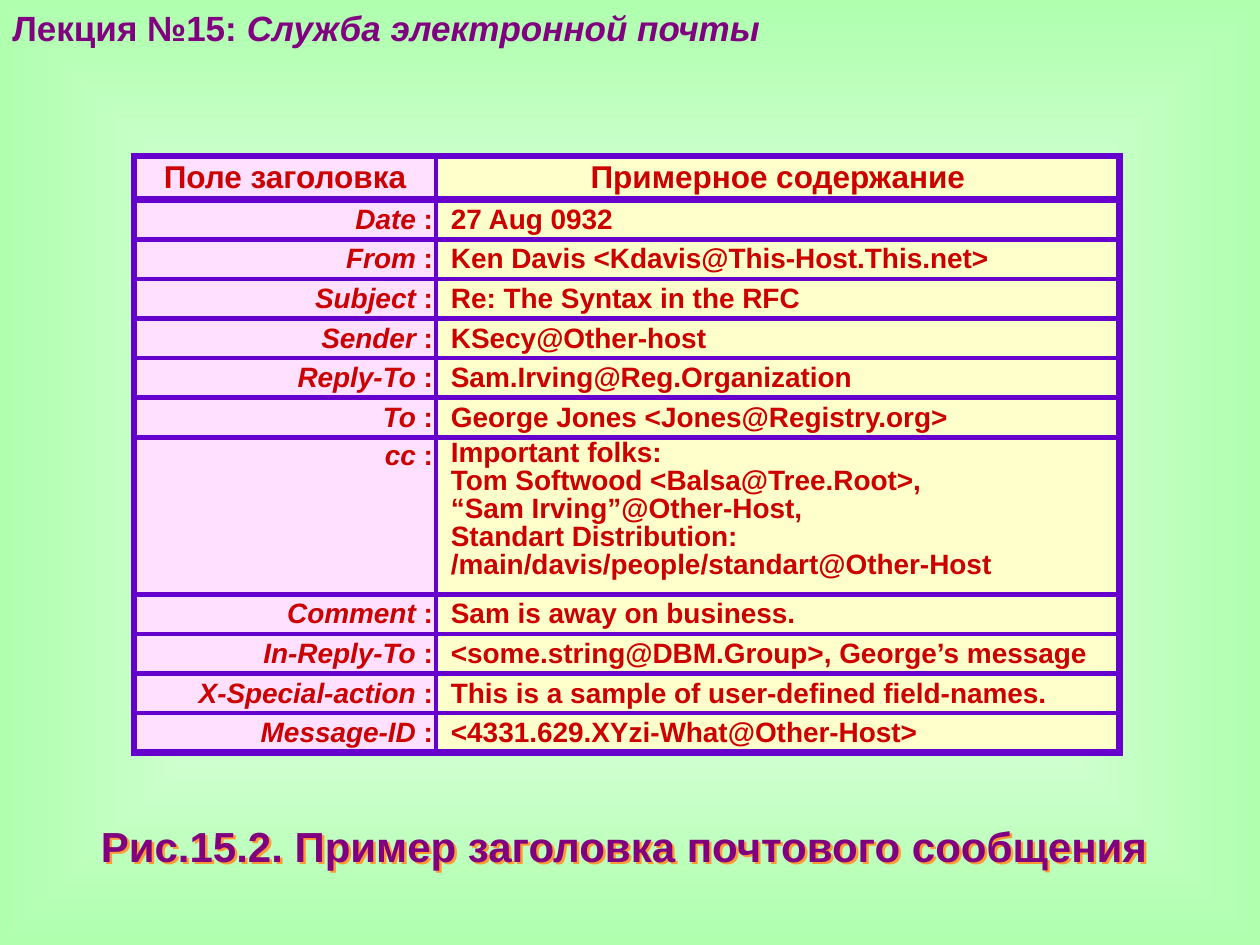
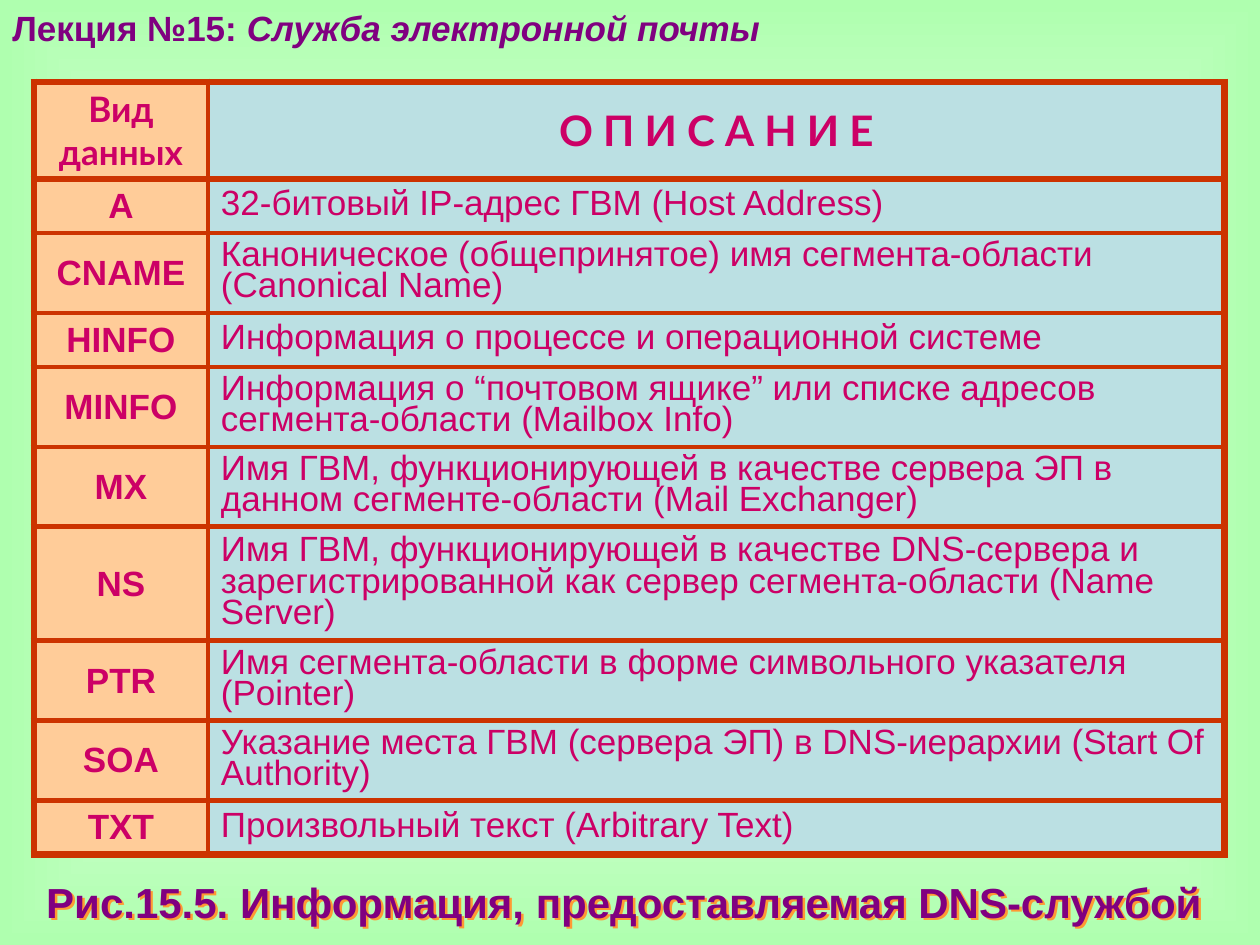
from itertools import pairwise

from pptx import Presentation
from pptx.dml.color import RGBColor
from pptx.enum.text import MSO_ANCHOR as Anchor, PP_ALIGN as Align
from pptx.oxml import parse_xml
from pptx.util import Pt

SCALE = 914400 / 126
SPACE = 'xmlns:a="http://schemas.openxmlformats.org/drawingml/2006/main"'
BACKGROUND = f'''<p:bg xmlns:p="http://schemas.openxmlformats.org/presentationml/2006/main" {SPACE}>
<p:bgPr><a:gradFill rotWithShape="0"><a:gsLst>
<a:gs pos="0"><a:srgbClr val="FFFFFF"/></a:gs><a:gs pos="100000"><a:srgbClr val="AFFFAF"/></a:gs>
</a:gsLst><a:path path="shape"><a:fillToRect l="50000" t="50000" r="50000" b="50000"/></a:path>
</a:gradFill><a:effectLst/></p:bgPr></p:bg>'''
SHADOW = f'''<a:effectLst {SPACE}><a:outerShdw dist="25400" dir="2700000" algn="ctr" rotWithShape="0">
<a:srgbClr val="FF9933"/></a:outerShdw></a:effectLst>'''
PURPLE = "800080"


def px(length):
    return round(length * SCALE)


def write(frame, lines, size, color, font="Arial", bold=True, align=Align.LEFT, spacing=None):
    frame.word_wrap = True
    for number, spans in enumerate(lines):
        para = frame.add_paragraph() if number else frame.paragraphs[0]
        para.alignment = align
        para.line_spacing = spacing
        para.font.size = Pt(size)
        para.font.name = font
        para.font.bold = bold
        para.font.color.rgb = RGBColor.from_string(color)
        for text, italic in spans:
            span = para.add_run()
            span.text = text
            span.font.italic = italic


mail_fields = [
    ("Date", "27 Aug 0932"),
    ("From", "Ken Davis <Kdavis@This-Host.This.net>"),
    ("Subject", "Re: The Syntax in the RFC"),
    ("Sender", "KSecy@Other-host"),
    ("Reply-To", "Sam.Irving@Reg.Organization"),
    ("То", "George Jones <Jones@Registry.org>"),
    ("cc", "Important folks:\nTom Softwood <Balsa@Tree.Root>,\n“Sam Irving”@Other-Host,\n"
           "Standart Distribution:\n/main/davis/people/standart@Other-Host"),
    ("Comment", "Sam is away on business."),
    ("In-Reply-To", "<some.string@DBM.Group>, George’s message"),
    ("X-Special-action", "This is a sample of user-defined field-names."),
    ("Message-ID", "<4331.629.XYzi-What@Other-Host>"),
]
dns_records = [
    ("A", "32-битовый IP-адрес ГВМ (Host Address)"),
    ("CNAME", "Каноническое (общепринятое) имя сегмента-области (Canonical Name)"),
    ("HINFO", "Информация о процессе и операционной системе"),
    ("MINFO", "Информация о “почтовом ящике” или списке адресов сегмента-области (Mailbox Info)"),
    ("MX", "Имя ГВМ, функционирующей в качестве сервера ЭП в данном сегменте-области (Mail Exchanger)"),
    ("NS", "Имя ГВМ, функционирующей в качестве DNS-сервера и зарегистрированной как сервер "
           "сегмента-области (Name Server)"),
    ("PTR", "Имя сегмента-области в форме символьного указателя (Pointer)"),
    ("SOA", "Указание места ГВМ (сервера ЭП) в DNS-иерархии (Start Of Authority)"),
    ("TXT", "Произвольный текст (Arbitrary Text)"),
]
pages = [
    dict(
        caption="Рис.15.2. Пример заголовка почтового сообщения ", caption_top=820,
        heads=("Поле заголовка", "Примерное содержание"), rows=mail_fields,
        column_edges=(134, 436, 1120),
        row_edges=(156, 199, 238, 276, 315, 353, 392, 430, 586, 625, 663, 702, 741),
        border="6600CC", fills=("FFE1FF", "FFFFCC"), ink="CC0000",
        head_font="Arial", head_sizes=(18, 18), size=16,
        label_align=Align.RIGHT, label_end=" :", value_bold=True, value_spacing=None,
        margins=(3, 3), value_left=15,
    ),
    dict(
        caption="Рис.15.5. Информация, предоставляемая DNS-службой ", caption_top=876,
        heads=("Вид данных", "О П И С А Н И Е"), rows=dns_records,
        column_edges=(34, 208, 1225),
        row_edges=(82, 179, 233, 313, 367, 447, 527, 641, 721, 801, 855),
        border="CC3300", fills=("FFCC99", "BBE0E3"), ink="CC0066",
        head_font="Lato", head_sizes=(20, 24), size=20,
        label_align=Align.CENTER, label_end="", value_bold=False, value_spacing=0.8,
        margins=(13, 6), value_left=13,
    ),
]

deck = Presentation()
deck.slide_width, deck.slide_height = px(1260), px(945)

for plan in pages:
    page = deck.slides.add_slide(deck.slide_layouts[6])
    page.element.cSld.insert(0, parse_xml(BACKGROUND))

    title = page.shapes.add_textbox(0, 0, px(1260), px(54))
    write(title.text_frame, [[("Лекция №15: ", False), ("Служба электронной почты", True)]], 20, PURPLE)

    columns, rows = plan["column_edges"], plan["row_edges"]
    last = len(rows) - 2
    table = page.shapes.add_table(
        last + 1, 2, px(columns[0]), px(rows[0]),
        px(columns[-1] - columns[0]), px(rows[-1] - rows[0])).table
    table.first_row = table.horz_banding = False
    for column, (start, end) in zip(table.columns, pairwise(columns)):
        column.width = px(end - start)
    for row, (start, end) in zip(table.rows, pairwise(rows)):
        row.height = px(end - start)

    for r, texts in enumerate([plan["heads"], *plan["rows"]]):
        for c, text in enumerate(texts):
            cell = table.cell(r, c)
            thick = {"L": c == 0, "R": c == 1, "T": r < 2, "B": r in (0, last)}
            for side, heavy in thick.items():
                cell._tc.get_or_add_tcPr().append(parse_xml(
                    f'<a:ln{side} {SPACE} w="{Pt(4.5 if heavy else 3)}"><a:solidFill>'
                    f'<a:srgbClr val="{plan["border"]}"/></a:solidFill></a:ln{side}>'))
            cell.fill.solid()
            cell.fill.fore_color.rgb = RGBColor.from_string(plan["fills"][c])
            side_margin, end_margin = plan["margins"]
            cell.margin_left = px(plan["value_left"] if r and c else side_margin)
            cell.margin_right = px(side_margin)
            cell.margin_top = cell.margin_bottom = px(end_margin)
            cell.vertical_anchor = Anchor.TOP if texts[0] == "cc" else Anchor.MIDDLE

            if r == 0:
                write(cell.text_frame, [[(text, False)]], plan["head_sizes"][c], plan["ink"],
                      font=plan["head_font"], align=Align.CENTER)
            elif c == 0:
                ending = plan["label_end"]
                spans = [(text + " ", True), (":", False)] if ending else [(text, False)]
                write(cell.text_frame, [spans], plan["size"], plan["ink"], align=plan["label_align"])
            else:
                lines = [[(line, False)] for line in text.split("\n")]
                spacing = 0.9 if len(lines) > 1 else plan["value_spacing"]
                write(cell.text_frame, lines, plan["size"], plan["ink"],
                      bold=plan["value_bold"], spacing=spacing)

    caption = page.shapes.add_textbox(0, px(plan["caption_top"]), px(1260), px(58))
    caption._element.spPr.append(parse_xml(SHADOW))
    write(caption.text_frame, [[(plan["caption"], False)]], 24, PURPLE, align=Align.CENTER, spacing=0.9)

deck.save("out.pptx")
